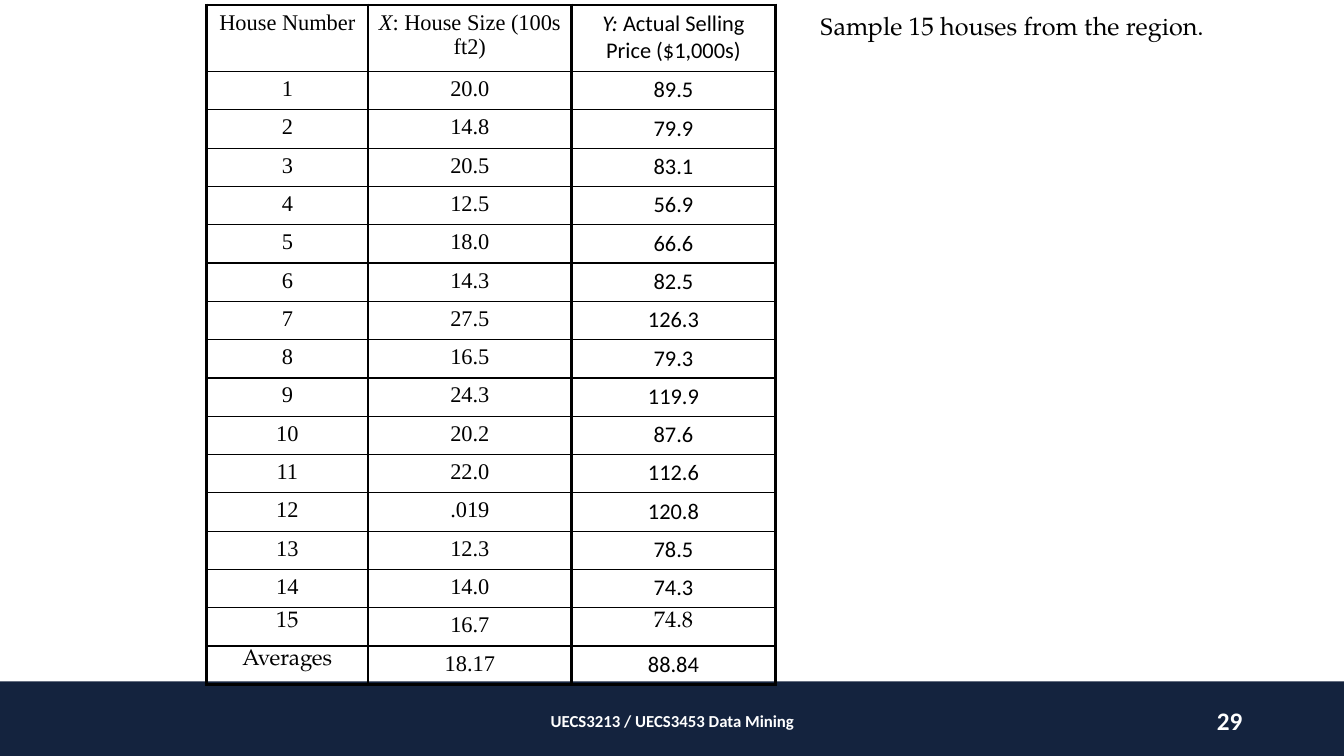
import pptx
import pptx.util
import pptx.dml.color
import pptx.enum.shapes
import pptx.enum.text
import pptx.oxml.ns
from lxml import etree

Inches = pptx.util.Inches
Pt = pptx.util.Pt
ALIGN = pptx.enum.text.PP_ALIGN
ANCHOR = pptx.enum.text.MSO_ANCHOR

BLACK = "000000"
WHITE = "FFFFFF"
NAVY = "14233E"
SERIF = "Times New Roman"
SANS = "Calibri"
BOOK = "TeX Gyre Pagella"
THIN = 1
THICK = 2.25

HEADINGS = [("", "House Number"), ("X", ": House Size (100s ft2)"),
            ("Y: ", "Actual Selling Price ($1,000s)")]
HOUSE_SIZES = ["20.0", "14.8", "20.5", "12.5", "18.0", "14.3", "27.5", "16.5",
               "24.3", "20.2", "22.0", ".019", "12.3", "14.0", "16.7"]
PRICES = ["89.5", "79.9", "83.1", "56.9", "66.6", "82.5", "126.3", "79.3",
          "119.9", "87.6", "112.6", "120.8", "78.5", "74.3", "74.8"]
AVERAGES = ("Averages", "18.17", "88.84")
COLUMN_FONTS = [SERIF, SERIF, SANS]
BOOK_CELLS = {(15, 0), (15, 2), (16, 0)}


def rgb(value):
    return pptx.dml.color.RGBColor.from_string(value)


def add_run(paragraph, text, font, size, color=BLACK, bold=False, italic=False):
    run = paragraph.add_run()
    run.text = text
    run.font.name = font
    run.font.size = Pt(size)
    run.font.color.rgb = rgb(color)
    run.font.bold = bold
    run.font.italic = italic


def add_label(slide, left, top, width, height, parts, size, color=BLACK,
              bold=False, align=ALIGN.LEFT, anchor=ANCHOR.TOP):
    label = slide.shapes.add_textbox(
        Inches(left), Inches(top), Inches(width), Inches(height))
    frame = label.text_frame
    frame.word_wrap = True
    frame.vertical_anchor = anchor
    paragraph = frame.paragraphs[0]
    paragraph.alignment = align
    for text, font in parts:
        add_run(paragraph, text, font, size, color, bold)


def add_footer_band(slide):
    band = slide.shapes.add_shape(
        pptx.enum.shapes.MSO_SHAPE.RECTANGLE,
        Inches(0), Inches(6.76), Inches(13.33), Inches(0.74))
    band.shadow.inherit = False
    band.fill.solid()
    band.fill.fore_color.rgb = rgb(NAVY)
    band.line.fill.background()


def set_borders(cell, widths):
    properties = cell._tc.get_or_add_tcPr()
    qn = pptx.oxml.ns.qn
    for position, (side, width) in enumerate(widths.items()):
        border = etree.Element(qn(f"a:{side}"), w=str(Pt(width)))
        fill = etree.SubElement(border, qn("a:solidFill"))
        etree.SubElement(fill, qn("a:srgbClr"), val=BLACK)
        properties.insert(position, border)


def add_house_table(slide):
    houses = zip(map(str, range(1, len(PRICES) + 1)), HOUSE_SIZES, PRICES)
    body = [[("", value) for value in row] for row in [*houses, AVERAGES]]
    rows = [HEADINGS, *body]
    last = len(rows) - 1
    table = slide.shapes.add_table(
        len(rows), 3, Inches(2.05), Inches(0.05), Inches(5.65), Inches(6.74)).table
    table.first_row = False
    table.horz_banding = False
    for column, width in zip(table.columns, (1.6, 2.02, 2.02)):
        column.width = Inches(width)
    for r, values in enumerate(rows):
        table.rows[r].height = Inches(0.38 if r else 0.66)
        for c, (symbol, text) in enumerate(values):
            cell = table.cell(r, c)
            cell.fill.background()
            set_borders(cell, {
                "lnL": THIN if c == 1 else THICK,
                "lnR": THIN if c == 0 else THICK,
                "lnT": THIN if r else THICK,
                "lnB": THICK if r == last else THIN})
            paragraph = cell.text_frame.paragraphs[0]
            paragraph.alignment = ALIGN.CENTER
            font = COLUMN_FONTS[c]
            if (r, c) in BOOK_CELLS:
                font = BOOK
                paragraph.line_spacing = 0.8
            if symbol:
                add_run(paragraph, symbol, font, 16, italic=True)
            add_run(paragraph, text, font, 16)


def main():
    deck = pptx.Presentation()
    deck.slide_width = Inches(13.33)
    deck.slide_height = Inches(7.5)
    slide = deck.slides.add_slide(deck.slide_layouts[6])
    add_footer_band(slide)
    add_house_table(slide)
    add_label(slide, 8.03, 0.05, 4.85, 0.4,
              [("S", SERIF), ("ample 15 houses from the region.", BOOK)], 18)
    add_label(slide, 9.42, 6.95, 3, 0.4, [("29", SANS)], 18, WHITE, True,
              ALIGN.RIGHT, ANCHOR.MIDDLE)
    add_label(slide, 4.42, 6.95, 4.5, 0.4,
              [("UECS3213 / UECS3453 Data Mining", SANS)], 12, WHITE, True,
              ALIGN.CENTER, ANCHOR.MIDDLE)
    deck.save("out.pptx")


if __name__ == "__main__":
    main()
